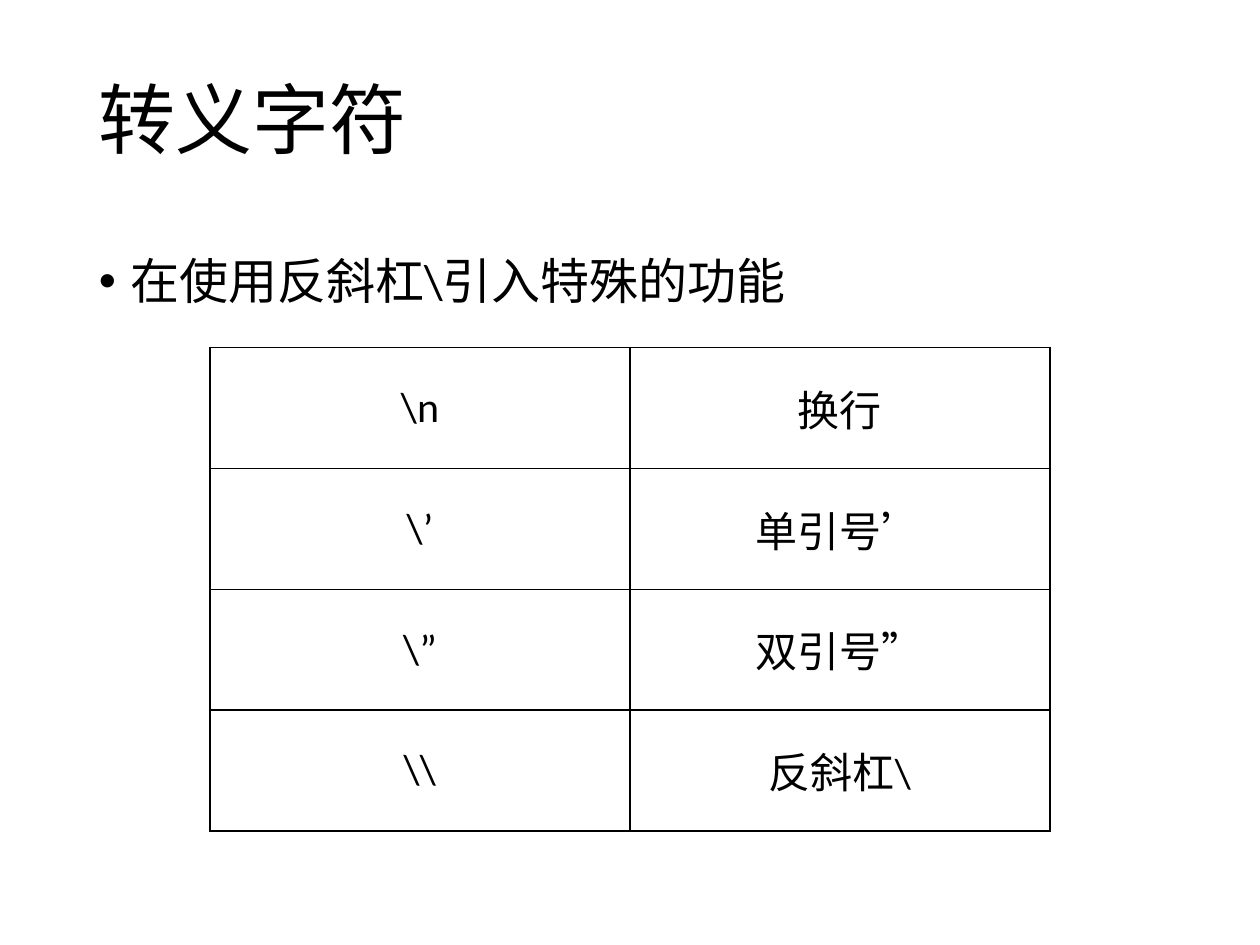
from lxml.etree import SubElement
from pptx import Presentation
from pptx.dml.color import RGBColor
from pptx.enum.text import MSO_ANCHOR as Anchor, PP_ALIGN as Align
from pptx.oxml.ns import qn
from pptx.util import Pt

TITLE = "转义字符"
BULLET = "在使用反斜杠\\引入特殊的功能"
ESCAPES = [
    ("\\n", "换行"),
    ("\\’", "单引号’"),
    ("\\”", "双引号”"),
    ("\\\\", "反斜杠\\"),
]
COLORS = {"ink": "000000", "paper": "FFFFFF"}
FONT = "Calibri"
SLIDE_WIDTH, SLIDE_HEIGHT = 720, 540
MARGIN = 49.5
TABLE_WIDTH, TABLE_TOP, ROW_HEIGHT = 480, 198.5, 69.12
INDENT = 18


def add_run(paragraph, text, size):
    run = paragraph.add_run()
    run.text = text
    run.font.name = FONT
    run.font.size = Pt(size)
    run.font.color.rgb = RGBColor.from_string(COLORS["ink"])


def add_text(text, top, height, size, anchor, spacing):
    shape = slide.shapes.add_textbox(
        Pt(MARGIN), Pt(top), Pt(SLIDE_WIDTH - 2 * MARGIN), Pt(height))
    shape.text_frame.word_wrap = True
    shape.text_frame.vertical_anchor = anchor
    paragraph = shape.text_frame.paragraphs[0]
    paragraph.line_spacing = spacing
    add_run(paragraph, text, size)
    return paragraph


def add_bullet(paragraph):
    properties = paragraph._p.get_or_add_pPr()
    properties.set("marL", str(Pt(INDENT)))
    properties.set("indent", str(-Pt(INDENT)))
    SubElement(properties, qn("a:buFont"), typeface="Arial")
    SubElement(properties, qn("a:buChar"), char="•")


def add_borders(cell):
    properties = cell._tc.get_or_add_tcPr()
    for index, side in enumerate(("lnL", "lnR", "lnT", "lnB")):
        line = properties.makeelement(qn("a:" + side), {"w": str(Pt(1))})
        fill = SubElement(line, qn("a:solidFill"))
        SubElement(fill, qn("a:srgbClr"), val=COLORS["ink"])
        properties.insert(index, line)


presentation = Presentation()
presentation.slide_width = Pt(SLIDE_WIDTH)
presentation.slide_height = Pt(SLIDE_HEIGHT)
slide = presentation.slides.add_slide(presentation.slide_layouts[6])
slide.background.fill.solid()
slide.background.fill.fore_color.rgb = RGBColor.from_string(COLORS["paper"])

add_text(TITLE, 28.75, 83.5, 44, Anchor.MIDDLE, 0.9)
bullet = add_text(BULLET, 123, 363, 28, Anchor.TOP, 1.5)
bullet.space_before = Pt(10)
add_bullet(bullet)

table = slide.shapes.add_table(
    len(ESCAPES), 2, Pt((SLIDE_WIDTH - TABLE_WIDTH) / 2), Pt(TABLE_TOP),
    Pt(TABLE_WIDTH), Pt(ROW_HEIGHT * len(ESCAPES))).table
table.first_row = False
table.horz_banding = False
for row_index, texts in enumerate(ESCAPES):
    table.rows[row_index].height = Pt(ROW_HEIGHT)
    for column_index, text in enumerate(texts):
        cell = table.cell(row_index, column_index)
        cell.fill.background()
        cell.vertical_anchor = Anchor.MIDDLE
        add_borders(cell)
        paragraph = cell.text_frame.paragraphs[0]
        paragraph.alignment = Align.CENTER
        add_run(paragraph, text, 24)

presentation.save("out.pptx")
